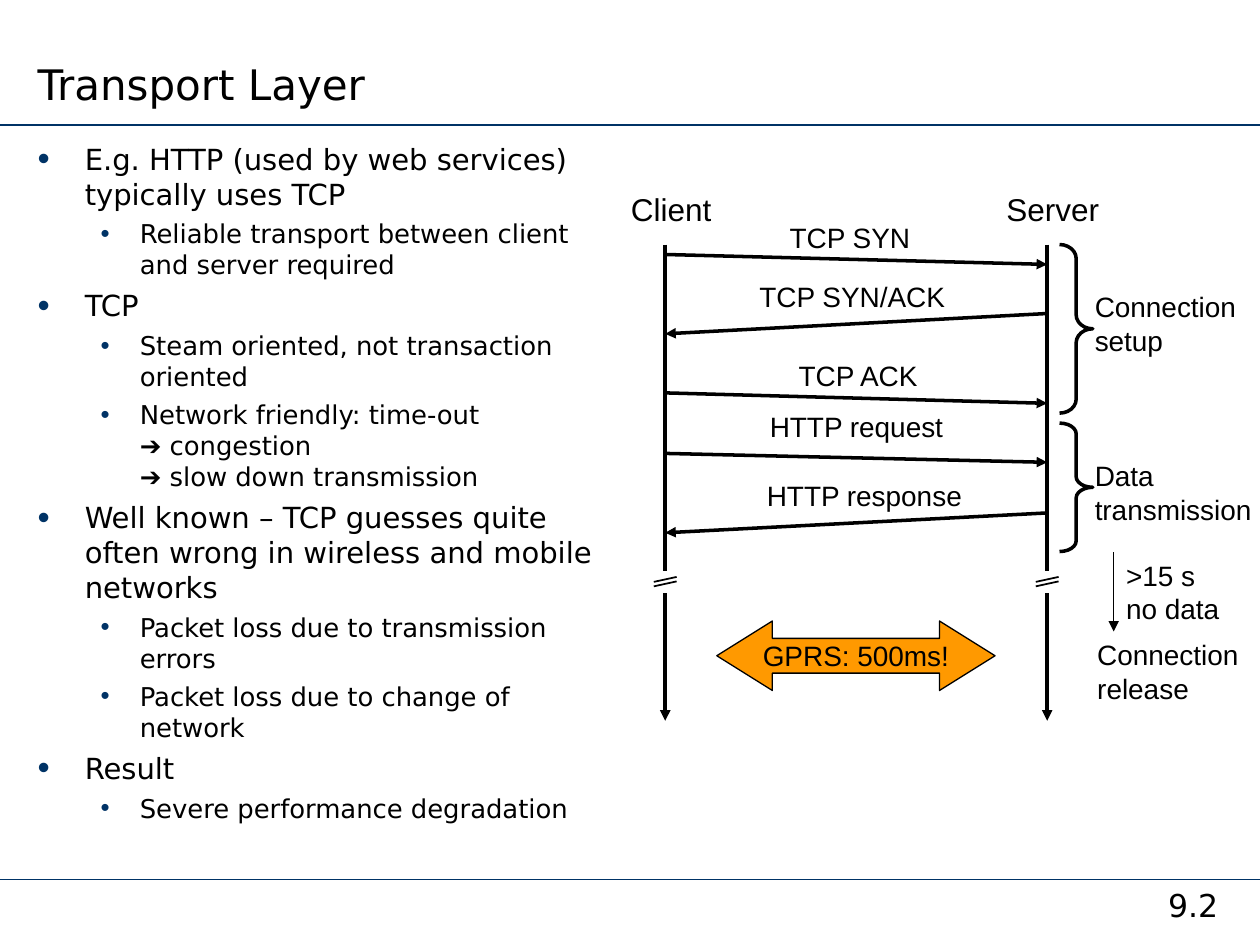
from lxml import etree
from pptx import Presentation
from pptx.dml.color import RGBColor
from pptx.enum.shapes import MSO_CONNECTOR as Connector, MSO_SHAPE as Shape
from pptx.enum.text import MSO_ANCHOR as Anchor, MSO_AUTO_SIZE as AutoSize, PP_ALIGN as Align
from pptx.oxml.ns import qn
from pptx.util import Cm, Pt

COLORS = {"black": "000000", "white": "FFFFFF", "navy": "003366", "orange": "FF9900"}
SANS, ARIAL = "DejaVu Sans", "Arial"

# Positions in centimetres
WIDTH, HEIGHT = 25.4, 19.05
CLIENT_X, SERVER_X = 13.41, 21.11
TIMELINE_TOP, TIMELINE_BOTTOM, BREAK_Y = 4.93, 14.53, 11.73

# Level, then runs; a line break is "\n", and an arrow run is set in Arial
ARROW = "➔"
OUTLINE = [
    (0, ["E.g. HTTP (used by web services) typically uses TCP"]),
    (1, ["Reliable transport between client and server required"]),
    (0, ["TCP"]),
    (1, ["Steam oriented, not transaction oriented"]),
    (1, ["Network friendly: time-out ", "\n", ARROW, " congestion ", "\n",
         ARROW, " slow down transmission"]),
    (0, ["Well known – TCP guesses quite often wrong in wireless and mobile networks"]),
    (1, ["Packet loss due to transmission errors"]),
    (1, ["Packet loss due to change of network"]),
    (0, ["Result"]),
    (1, ["Severe performance degradation"]),
]
# Size, left margin, hanging indent, space before, bullet percent
LEVELS = [(16.6, 0.95, 0.95, 4.5, 120), (14.8, 2.06, 0.79, 4, 100)]

# Label, label left, top and width, arrow start and end height, sent by client
MESSAGES = [
    ("TCP SYN", 15.67, 4.32, 2.95, 5.13, 5.33, True),
    ("TCP SYN/ACK", 15.06, 5.51, 4.27, 6.32, 6.73, False),
    ("TCP ACK", 15.85, 7.11, 2.95, 7.92, 8.13, True),
    ("HTTP request", 15.27, 8.13, 4.01, 9.14, 9.32, True),
    ("HTTP response", 15.21, 9.53, 4.45, 10.34, 10.74, False),
]
# Lines, left, top, width, height, size
LABELS = [
    (["Client"], 12.47, 3.71, 2.15, 1.02, 18),
    (["Server"], 20.04, 3.71, 2.5, 1.02, 18),
    (["Connection", "setup"], 21.82, 5.72, 3.4, 1.63, 16),
    (["Data", "transmission"], 21.82, 9.12, 3.7, 1.63, 16),
    (["Connection", "release"], 21.87, 12.73, 3.4, 1.63, 16),
    ([">15 s", "no data"], 22.45, 11.13, 2.4, 1.63, 16),
]
# Top, height, curve of the braces
BRACES = [(4.93, 3.4, 0.42), (8.53, 2.59, 0.32)]


def color(name):
    return RGBColor.from_string(COLORS[name])


def add_span(para, text, size, font):
    span = para.add_run()
    span.text = text
    span.font.size = Pt(size)
    span.font.name = font
    span.font.color.rgb = color("black")


def add_text(page, lines, left, top, width, height, size, font=ARIAL,
             align=Align.LEFT, anchor=Anchor.TOP, wrap=False):
    box = page.shapes.add_textbox(Cm(left), Cm(top), Cm(width), Cm(height))
    frame = box.text_frame
    frame.word_wrap = wrap
    frame.vertical_anchor = anchor
    frame.auto_size = AutoSize.NONE if wrap else AutoSize.SHAPE_TO_FIT_TEXT
    for index, line in enumerate(lines):
        para = frame.add_paragraph() if index else frame.paragraphs[0]
        para.alignment = align
        add_span(para, line, size, font)


def add_line(page, x1, y1, x2, y2, weight, name="black", arrow=False):
    line = page.shapes.add_connector(Connector.STRAIGHT, Cm(x1), Cm(y1), Cm(x2), Cm(y2))
    line.line.color.rgb = color(name)
    line.line.width = Pt(weight)
    if arrow:
        outline = line._element.spPr.find(qn("a:ln"))
        etree.SubElement(outline, qn("a:tailEnd"), type="triangle")
    etree.SubElement(line._element.spPr, qn("a:effectLst"))


def add_preset(page, kind, left, top, width, height, fill, outline, weight):
    shape = page.shapes.add_shape(kind, Cm(left), Cm(top), Cm(width), Cm(height))
    shape.shadow.inherit = False
    if fill:
        shape.fill.solid()
        shape.fill.fore_color.rgb = color(fill)
    else:
        shape.fill.background()
    shape.line.color.rgb = color(outline)
    shape.line.width = Pt(weight)
    return shape


def set_bullet(para, margin, hang, percent):
    props = para._p.get_or_add_pPr()
    props.set("marL", str(Cm(margin)))
    props.set("indent", str(-Cm(hang)))
    tint = etree.SubElement(props, qn("a:buClr"))
    etree.SubElement(tint, qn("a:srgbClr"), val=COLORS["navy"])
    etree.SubElement(props, qn("a:buSzPct"), val=str(percent * 1000))
    etree.SubElement(props, qn("a:buFont"), typeface=ARIAL)
    etree.SubElement(props, qn("a:buChar"), char="•")


def add_outline(page):
    box = page.shapes.add_textbox(Cm(0.51), Cm(2.72), Cm(11.96), Cm(14.86))
    frame = box.text_frame
    frame.word_wrap = True
    for index, (level, spans) in enumerate(OUTLINE):
        size, margin, hang, before, percent = LEVELS[level]
        para = frame.add_paragraph() if index else frame.paragraphs[0]
        para.level = level
        para.space_before = Pt(before)
        set_bullet(para, margin, hang, percent)
        for text in spans:
            if text == "\n":
                para.add_line_break()
            else:
                add_span(para, text, size, ARIAL if text == ARROW else SANS)


def add_timeline(page, x):
    add_line(page, x, TIMELINE_TOP, x, TIMELINE_BOTTOM, 2, arrow=True)
    # Gap in the time axis, with two slanted strokes
    add_preset(page, Shape.RECTANGLE, x - 0.45, BREAK_Y - 0.2, 0.9, 0.4, "white", "white", 1)
    for offset in (0, 0.09):
        add_line(page, x - 0.23, BREAK_Y + offset, x + 0.23, BREAK_Y - 0.1 + offset, 1)


def add_message(page, label, left, top, width, start_y, end_y, from_client):
    start_x, end_x = (CLIENT_X, SERVER_X) if from_client else (SERVER_X, CLIENT_X)
    add_line(page, start_x, start_y, end_x, end_y, 2, arrow=True)
    add_text(page, [label], left, top, width, 0.94, 16)


def add_delay(page):
    arrow = add_preset(page, Shape.LEFT_RIGHT_ARROW, 14.45, 12.52, 5.61, 1.4,
                       "orange", "black", 0.75)
    arrow.adjustments[0] = 0.5
    arrow.adjustments[1] = 0.8
    frame = arrow.text_frame
    frame.word_wrap = False
    frame.vertical_anchor = Anchor.MIDDLE
    para = frame.paragraphs[0]
    para.alignment = Align.CENTER
    add_span(para, "GPRS: 500ms!", 16, ARIAL)


def main():
    deck = Presentation()
    deck.slide_width, deck.slide_height = Cm(WIDTH), Cm(HEIGHT)
    page = deck.slides.add_slide(deck.slide_layouts[6])

    # Rules, page number and title
    for y in (2.52, 17.73):
        add_line(page, 0, y, WIDTH, y, 1, "navy")
    add_text(page, ["9.2"], 22.71, 17.73, 2.69, 1.12, 18, SANS, Align.CENTER, wrap=True)
    add_text(page, ["Transport Layer"], 0.51, 0, 16.79, 2.32, 24, SANS,
             anchor=Anchor.BOTTOM, wrap=True)

    # Bulleted text
    add_outline(page)

    # Sequence diagram
    for x in (CLIENT_X, SERVER_X):
        add_timeline(page, x)
    for message in MESSAGES:
        add_message(page, *message)
    for top, height, curve in BRACES:
        brace = add_preset(page, Shape.RIGHT_BRACE, 21.36, top, 0.67, height, None, "black", 2)
        brace.adjustments[0] = curve
    for label in LABELS:
        add_text(page, *label)
    add_line(page, 22.45, 11.13, 22.45, 12.73, 0.75, arrow=True)
    add_delay(page)

    deck.save("out.pptx")


if __name__ == "__main__":
    main()
